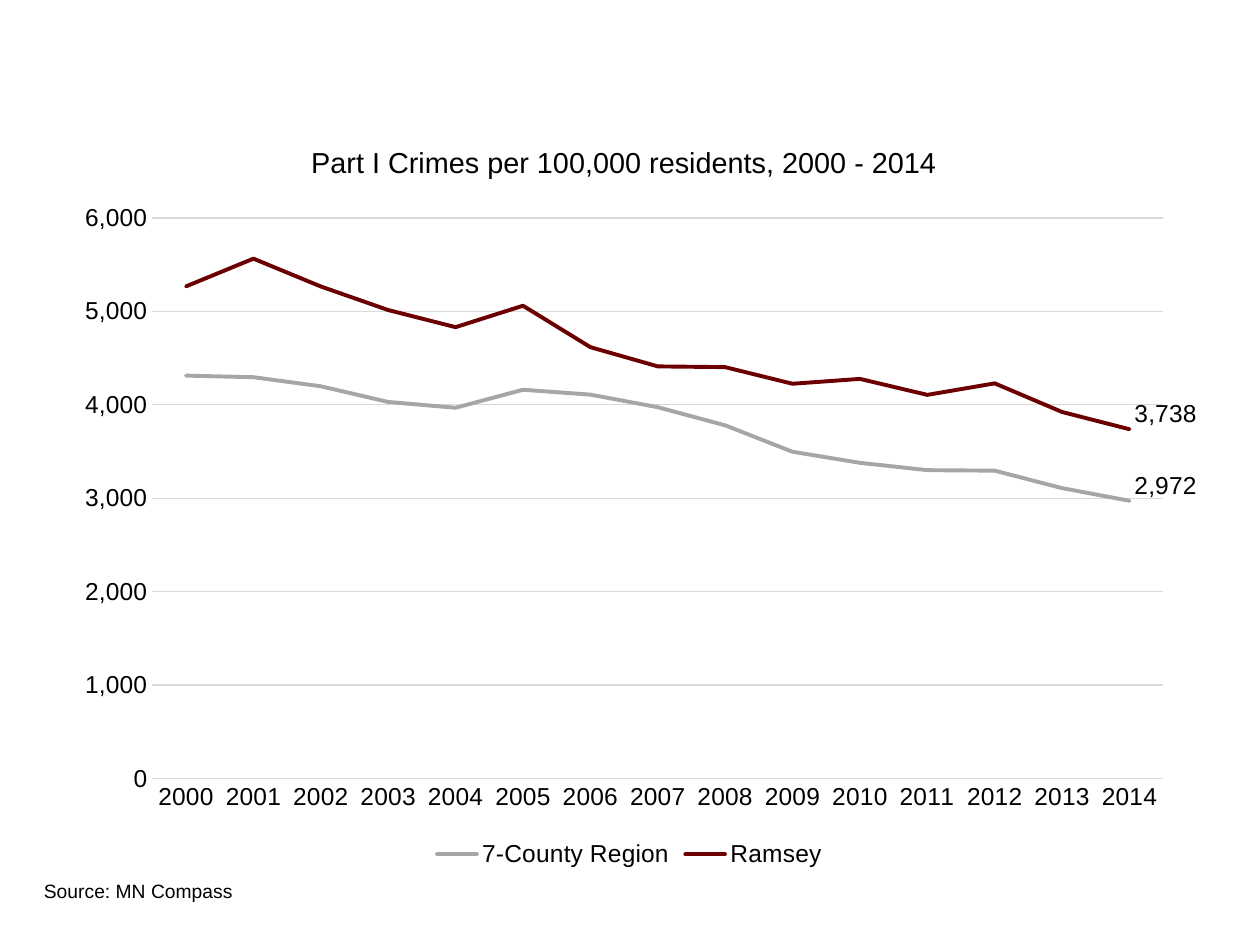
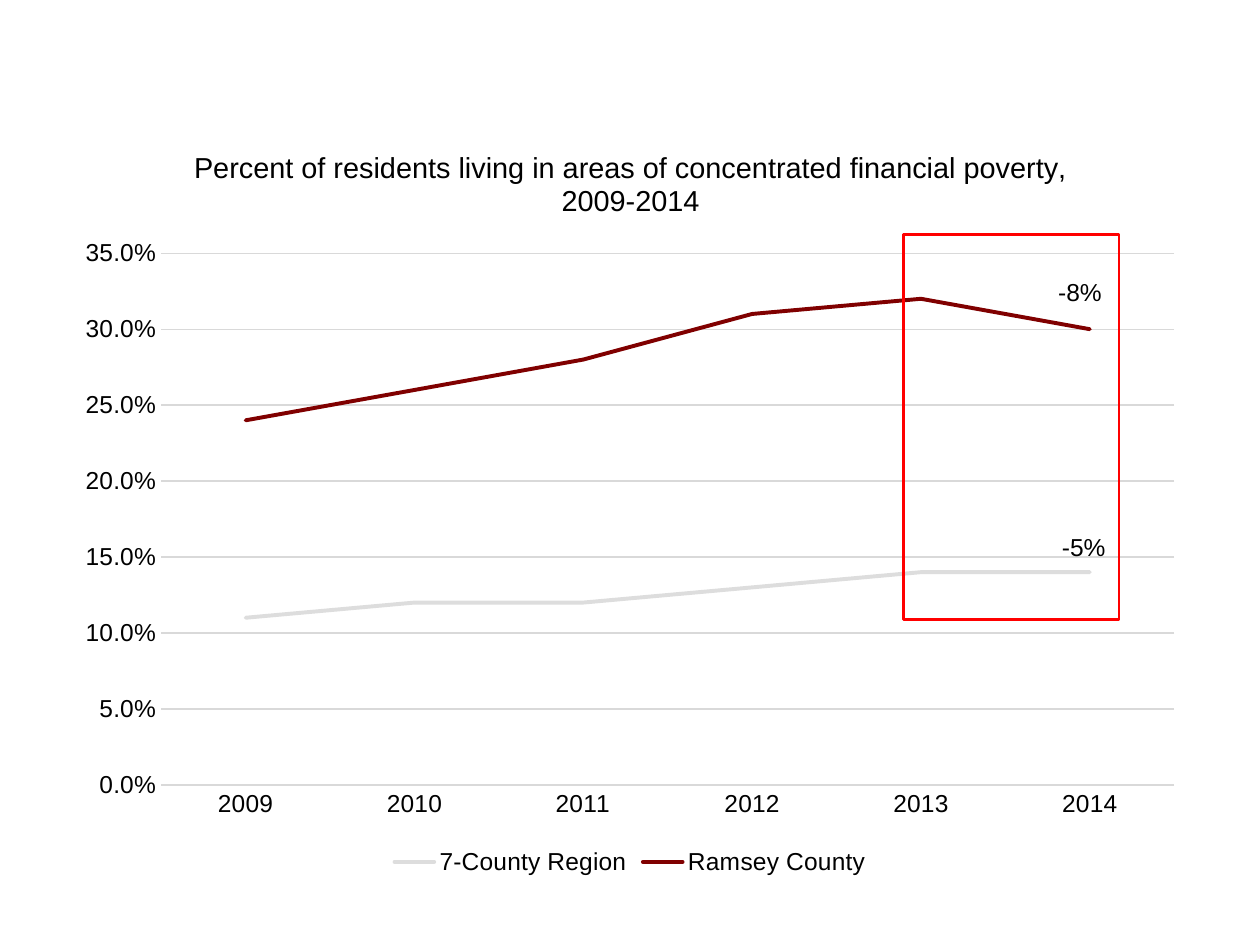
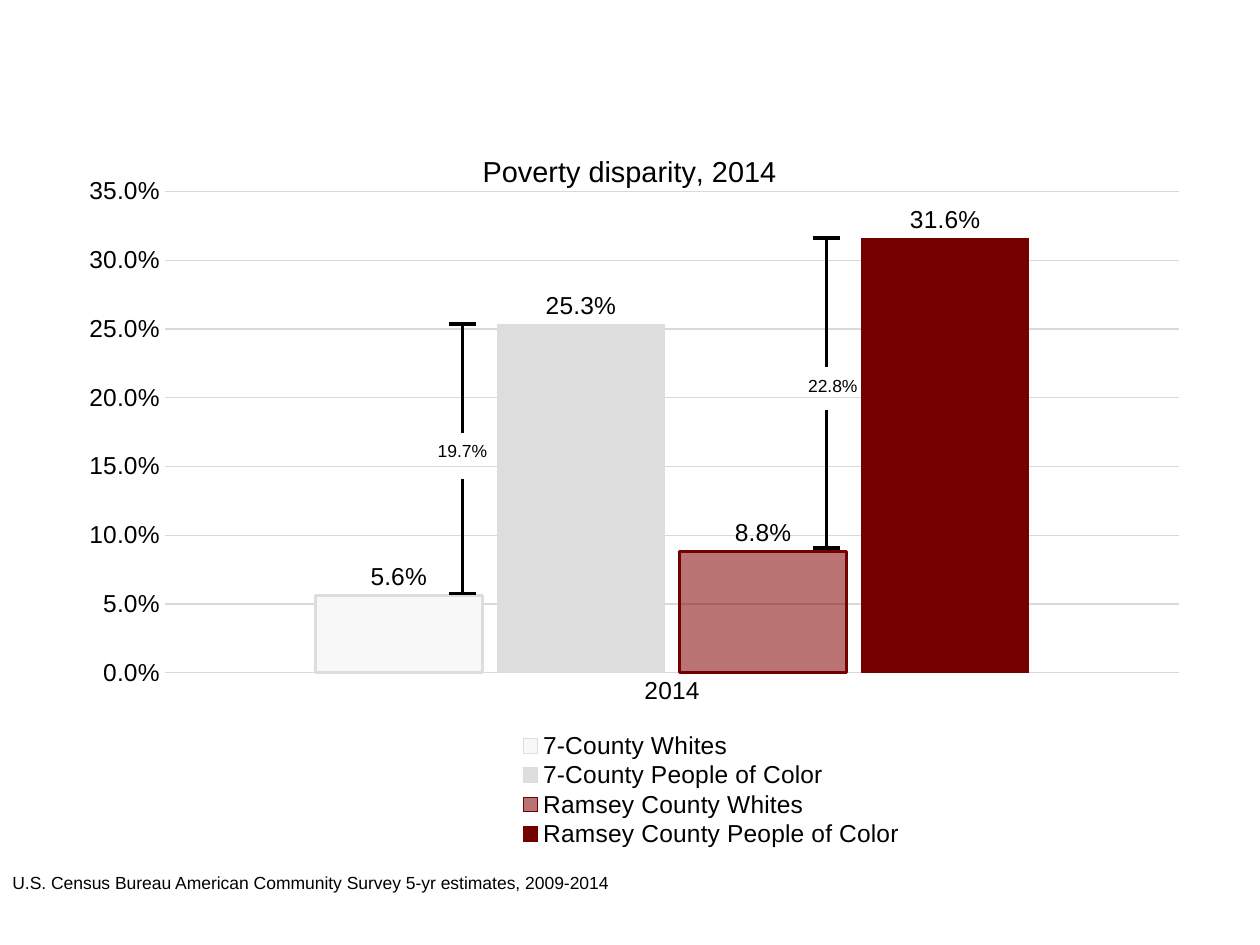
from dataclasses import dataclass

from lxml import etree
from pptx import Presentation
from pptx.chart.data import CategoryChartData
from pptx.dml.color import RGBColor
from pptx.enum.chart import XL_CHART_TYPE as ChartType
from pptx.enum.chart import XL_LABEL_POSITION as LabelPos
from pptx.enum.chart import XL_LEGEND_POSITION as LegendPos
from pptx.enum.chart import XL_TICK_MARK as TickMark
from pptx.enum.shapes import MSO_CONNECTOR, MSO_SHAPE
from pptx.enum.text import PP_ALIGN
from pptx.oxml.ns import qn
from pptx.util import Inches, Pt


@dataclass(frozen=True)
class Theme:
    font: str = "Arial"
    ink: str = "000000"
    grid: str = "D9D9D9"
    gray: str = "A6A6A6"
    light: str = "DDDDDD"
    pale: str = "F8F8F8"
    deep: str = "6C0000"
    wine: str = "740000"
    maroon: str = "800000"
    alert: str = "FF0000"
    title: float = 16.5
    body: float = 14
    source: float = 11
    small: float = 10
    chart_w: float = 9
    chart_h: float = 6
    title_y: float = 0.17


T = Theme()


def rgb(value):
    return RGBColor.from_string(value)


def style_font(font, size):
    font.name = T.font
    font.size = Pt(size)
    font.bold = False
    font.color.rgb = rgb(T.ink)


def style_line(line, color, width):
    line.color.rgb = rgb(color)
    line.width = Pt(width)


def place(chart, tag, index, modes, **inches):
    sizes = dict(x=T.chart_w, y=T.chart_h, w=T.chart_w, h=T.chart_h)
    shares = {name: value / sizes[name] for name, value in inches.items()}
    for parent in list(chart.element.iter(qn(tag))):
        for old in parent.findall(qn("c:layout")):
            parent.remove(old)
        layout = etree.Element(qn("c:layout"))
        manual = etree.SubElement(layout, qn("c:manualLayout"))
        for name, value in (modes | shares).items():
            etree.SubElement(manual, qn(f"c:{name}"), val=str(value))
        parent.insert(index, layout)


class Deck:
    edge = dict(xMode="edge", yMode="edge")
    inner = dict(layoutTarget="inner") | edge

    def __init__(self):
        self.prs = Presentation()
        self.prs.slide_width = Inches(10)
        self.prs.slide_height = Inches(7.5)
        self.s = None

    def slide(self):
        self.s = self.prs.slides.add_slide(self.prs.slide_layouts[6])

    def text(self, text, x, y, w, h, size, align=PP_ALIGN.LEFT):
        tf = self.s.shapes.add_textbox(Inches(x), Inches(y), Inches(w), Inches(h)).text_frame
        tf.word_wrap = True
        tf.text = text
        p = tf.paragraphs[0]
        p.alignment = align
        style_font(p.runs[0].font, size)

    def line(self, x1, y1, x2, y2):
        c = self.s.shapes.add_connector(
            MSO_CONNECTOR.STRAIGHT, Inches(x1), Inches(y1), Inches(x2), Inches(y2))
        style_line(c.line, T.ink, 2)
        etree.SubElement(c.element.spPr, qn("a:effectLst"))

    def frame(self, x, y, w, h):
        sp = self.s.shapes.add_shape(
            MSO_SHAPE.RECTANGLE, Inches(x), Inches(y), Inches(w), Inches(h))
        sp.shadow.inherit = False
        sp.fill.background()
        style_line(sp.line, T.alert, 1.5)

    def gap_marker(self, label, x, upper, lower, label_x, label_y):
        for top, bottom in (upper, lower):
            self.line(x, top, x, bottom)
        for y in (upper[0], lower[1]):
            self.line(x - 0.11, y, x + 0.11, y)
        self.text(label, label_x, label_y, 0.6, 0.27, T.small, PP_ALIGN.CENTER)

    def chart(self, kind, top, title, title_x, plot_at, cats, series, fmt, axis_max, step):
        data = CategoryChartData(number_format=fmt)
        data.categories = cats
        for name, values in series:
            data.add_series(name, values)
        chart = self.s.shapes.add_chart(
            kind, Inches(0.5), Inches(top), Inches(T.chart_w), Inches(T.chart_h), data).chart
        style_font(chart.font, T.body)

        chart.has_title = True
        tf = chart.chart_title.text_frame
        tf.text = title
        for p in tf.paragraphs:
            p.alignment = PP_ALIGN.CENTER
            style_font(p.runs[0].font, T.title)

        chart.has_legend = True
        chart.legend.position = LegendPos.BOTTOM
        chart.legend.include_in_layout = False
        style_font(chart.legend.font, T.body)

        cat, val = chart.category_axis, chart.value_axis
        for axis in (cat, val):
            axis.major_tick_mark = axis.minor_tick_mark = TickMark.NONE
            style_font(axis.tick_labels.font, T.body)
        style_line(cat.format.line, T.grid, 0.75)
        val.format.line.fill.background()
        val.has_major_gridlines = True
        style_line(val.major_gridlines.format.line, T.grid, 0.75)
        val.minimum_scale, val.maximum_scale, val.major_unit = 0, axis_max, step
        val.tick_labels.number_format = fmt
        val.tick_labels.number_format_is_linked = False

        chart.plots[0].vary_by_categories = False
        place(chart, "c:title", 1, self.edge, x=title_x, y=T.title_y)
        place(chart, "c:plotArea", 0, self.inner, **dict(zip("xywh", plot_at)))
        return chart

    def line_chart(self, colors, **options):
        chart = self.chart(ChartType.LINE, **options)
        for ser, color in zip(chart.series, colors):
            ser.smooth = False
            style_line(ser.format.line, color, 2.25)
            ser._element.find(f"{qn('c:spPr')}/{qn('a:ln')}").set("cap", "rnd")
        return chart

    def label_last_points(self, chart, index):
        for ser in chart.series:
            ser.data_labels.show_value = False
            label = ser.points[index].data_label
            style_font(label.font, T.body)
            label.position = LabelPos.RIGHT
        place(chart, "c:dLbl", 1, {}, x=0, y=-0.12)

    def column_chart(self, styles, **options):
        chart = self.chart(ChartType.COLUMN_CLUSTERED, **options)
        chart.plots[0].gap_width = 180
        chart.plots[0].overlap = -9
        for ser, (fill, line, width, opacity) in zip(chart.series, styles):
            ser.invert_if_negative = False
            ser.format.fill.solid()
            ser.format.fill.fore_color.rgb = rgb(fill)
            style_line(ser.format.line, line, width)
            if opacity < 100:
                clr = ser._element.find(
                    f"{qn('c:spPr')}/{qn('a:solidFill')}/{qn('a:srgbClr')}")
                etree.SubElement(clr, qn("a:alpha"), val=str(opacity * 1000))
            labels = ser.data_labels
            labels.show_value = True
            labels.position = LabelPos.OUTSIDE_END
            style_font(labels.font, T.body)
        return chart


def crime_slide(deck):
    deck.slide()
    years = [str(year) for year in range(2000, 2015)]
    chart = deck.line_chart(
        (T.gray, T.deep),
        top=0.93,
        title="Part I Crimes per 100,000 residents, 2000 - 2014",
        title_x=1.93,
        plot_at=(0.71, 0.8, 8.03, 4.45),
        cats=years,
        series=[
            ("7-County Region", (4312, 4295, 4198, 4030, 3968, 4161, 4109, 3974,
                                 3780, 3497, 3379, 3300, 3295, 3108, 2972)),
            ("Ramsey", (5267, 5564, 5266, 5014, 4831, 5060, 4617, 4411,
                        4403, 4225, 4277, 4106, 4229, 3923, 3738)),
        ],
        fmt="#,##0", axis_max=6000, step=1000)
    deck.label_last_points(chart, len(years) - 1)
    deck.text("Source: MN Compass", 0.25, 6.93, 5.28, 0.29, T.source)


def poverty_slide(deck):
    deck.slide()
    deck.line_chart(
        (T.light, T.maroon),
        top=0.99,
        title="Percent of residents living in areas of concentrated financial poverty,\n2009-2014",
        title_x=1.01,
        plot_at=(0.78, 1.02, 8.04, 4.22),
        cats=[str(year) for year in range(2009, 2015)],
        series=[
            ("7-County Region", (0.11, 0.12, 0.12, 0.13, 0.14, 0.14)),
            ("Ramsey County", (0.24, 0.26, 0.28, 0.31, 0.32, 0.3)),
        ],
        fmt="0.0%", axis_max=0.35, step=0.05)
    deck.frame(7.17, 1.86, 1.71, 3.06)
    for change, x, y in (("-8%", 8.3, 2.15), ("-5%", 8.33, 4.17)):
        deck.text(change, x, y, 0.57, 0.34, T.body)


def disparity_slide(deck):
    deck.slide()
    chart = deck.column_chart(
        ((T.pale, T.light, 1.5, 100), (T.light, T.light, 0.75, 100),
         (T.maroon, T.wine, 1.5, 55), (T.wine, T.wine, 0.75, 100)),
        top=1,
        title="Poverty disparity, 2014",
        title_x=3.29,
        plot_at=(0.81, 0.52, 8.05, 3.82),
        cats=["2014"],
        series=[
            ("7-County Whites", (0.056,)),
            ("7-County People of Color", (0.253,)),
            ("Ramsey County Whites", (0.088,)),
            ("Ramsey County People of Color", (0.316,)),
        ],
        fmt="0.0%", axis_max=0.35, step=0.05)
    place(chart, "c:legend", 1, deck.edge, x=3.57, y=4.8, w=3.15, h=0.94)
    deck.gap_marker("22.8%", 6.56, (1.89, 2.91), (3.25, 4.35), 6.31, 2.93)
    deck.gap_marker("19.7%", 3.67, (2.57, 3.44), (3.8, 4.71), 3.37, 3.44)
    deck.text("U.S. Census Bureau American Community Survey 5-yr estimates, 2009-2014",
              0, 6.87, 5.1, 0.27, T.small)


def main():
    deck = Deck()
    crime_slide(deck)
    poverty_slide(deck)
    disparity_slide(deck)
    deck.prs.save("out.pptx")


if __name__ == "__main__":
    main()
